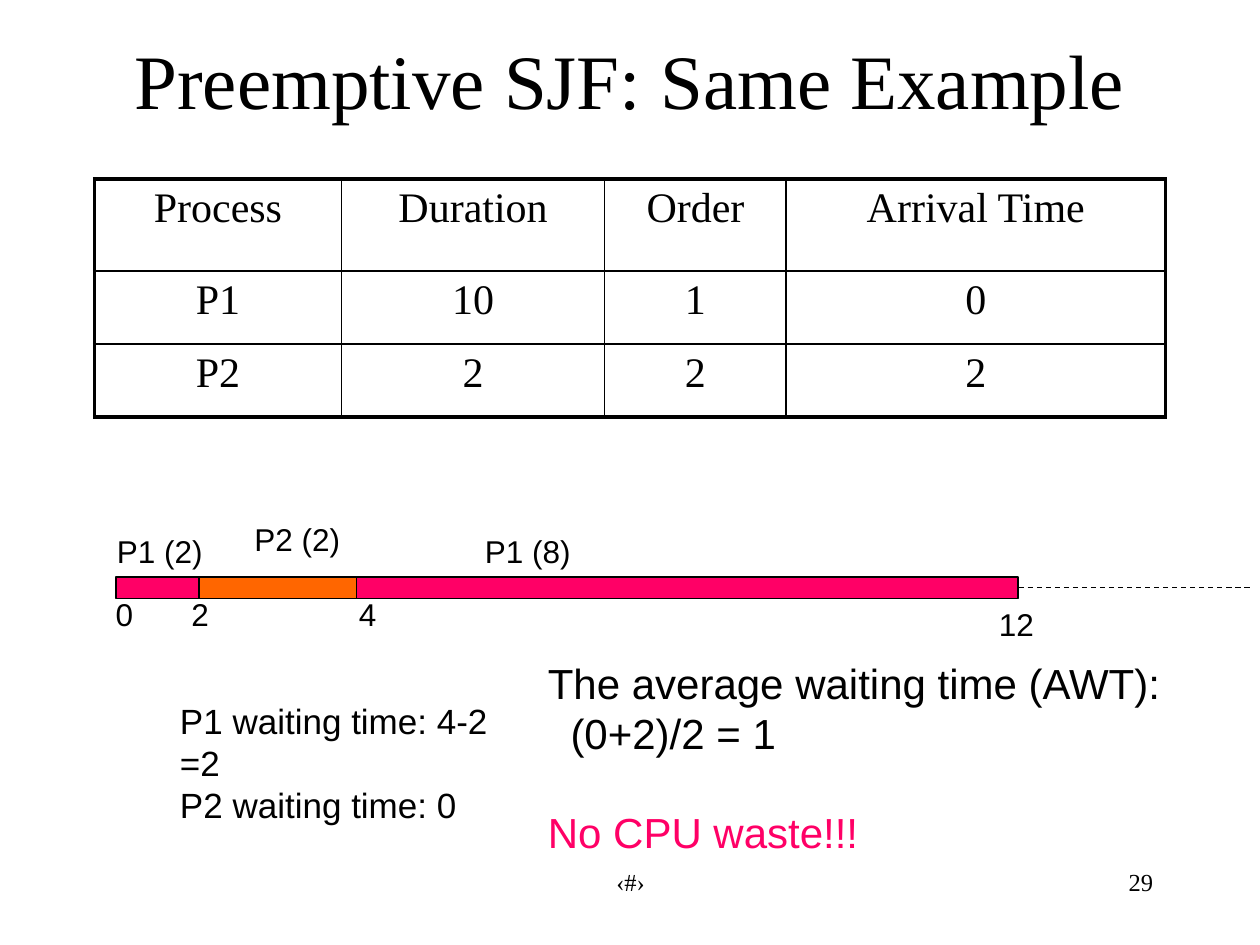
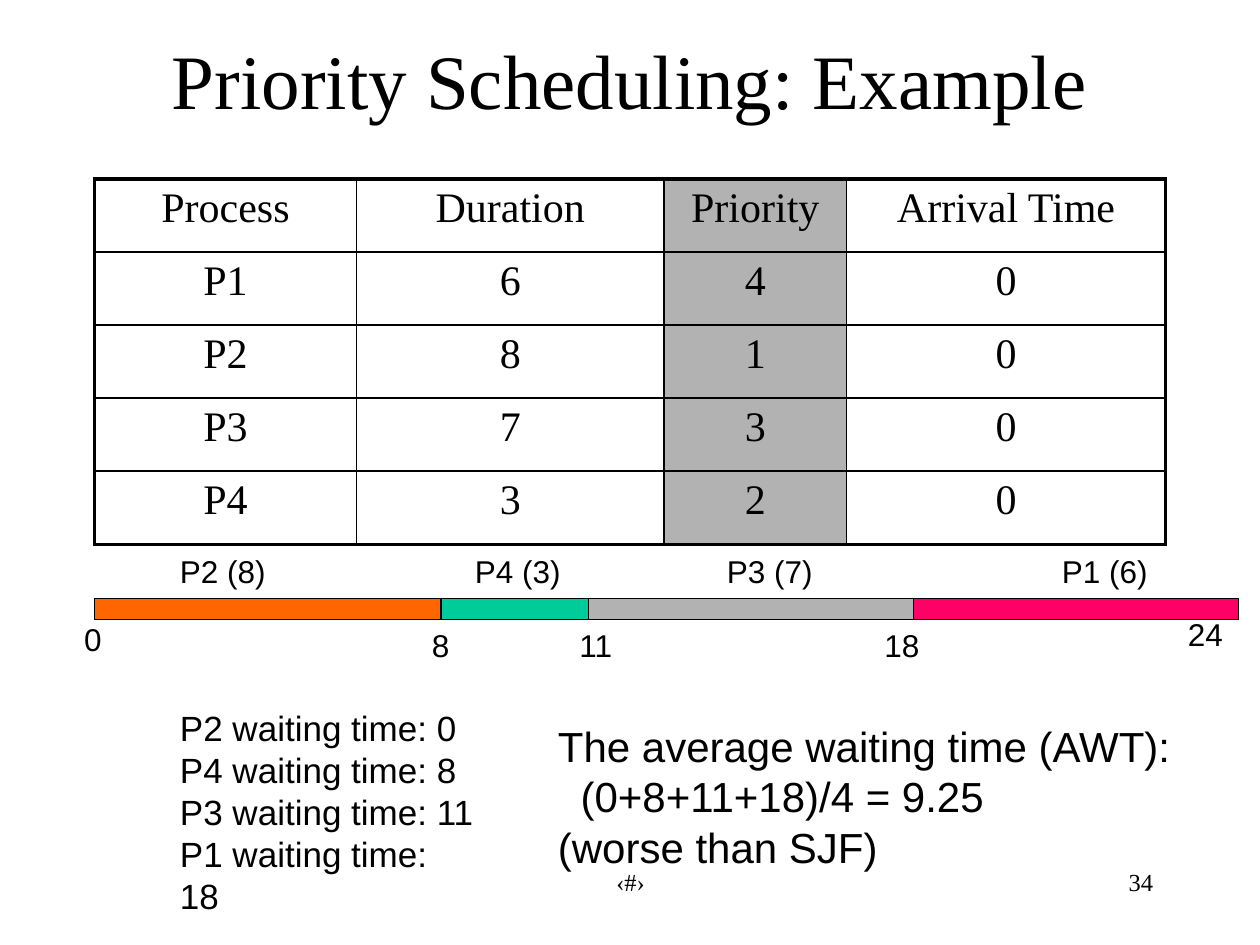
from pptx import Presentation
from pptx.dml.color import RGBColor
from pptx.enum import dml, shapes, text
from pptx.oxml import parse_xml
from pptx.oxml.ns import nsdecls
from pptx.util import Inches, Pt

BLACK = RGBColor(0x00, 0x00, 0x00)
PINK = RGBColor(0xFF, 0x00, 0x66)
ORANGE = RGBColor(0xFF, 0x66, 0x00)
GREEN = RGBColor(0x00, 0xCC, 0x99)
GREY = RGBColor(0xB2, 0xB2, 0xB2)
SERIF, SANS = "Times New Roman", "Arial"
LEFT, CENTER, RIGHT = text.PP_ALIGN.LEFT, text.PP_ALIGN.CENTER, text.PP_ALIGN.RIGHT
BAR_HEIGHT = 0.17
LABEL_SIZE = 18

# Labels are (text, left, top); edges bound the coloured bars of the timeline.
slides = [
    dict(
        title="Preemptive SJF: Same Example", number="29",
        cols=[1.96, 2.09, 1.44, 3.01], rows=[0.73, 0.58, 0.58], shaded=None,
        cells=[["Process", "Duration", "Order", "Arrival Time"],
               ["P1", "10", "1", "0"],
               ["P2", "2", "2", "2"]],
        bar_top=4.58, edges=[0.92, 1.58, 2.83, 8.08], colors=[PINK, ORANGE, PINK],
        labels=[("P1 (2)", 0.83, 4.17), ("P2 (2)", 1.92, 4.08), ("P1 (8)", 3.75, 4.17),
                ("0", 0.82, 4.67), ("2", 1.42, 4.67), ("4", 2.75, 4.67), ("12", 7.83, 4.75)],
        waits=["P1 waiting time: 4-2 =2", "P2 waiting time: 0"],
        waits_box=(1.33, 5.5, 2.95, 1.1),
        average=["The average waiting time (AWT):", "(0+2)/2 = 1", "No CPU waste!!!"],
        average_box=(4.25, 5.17, 5.17, 1.7), remark_gap=27.6, remark_color=PINK,
    ),
    dict(
        title="Priority Scheduling: Example", number="34",
        cols=[2.08, 2.44, 1.45, 2.53], rows=[0.58] * 5, shaded=2,
        cells=[["Process", "Duration", "Priority", "Arrival Time"],
               ["P1", "6", "4", "0"],
               ["P2", "8", "1", "0"],
               ["P3", "7", "3", "0"],
               ["P4", "3", "2", "0"]],
        bar_top=4.75, edges=[0.75, 3.5, 4.67, 7.25, 9.83],
        colors=[ORANGE, GREEN, GREY, PINK],
        labels=[("P2 (8)", 1.33, 4.33), ("P4 (3)", 3.67, 4.33), ("P3 (7)", 5.67, 4.33),
                ("P1 (6)", 8.33, 4.33), ("0", 0.57, 4.87), ("8", 3.33, 4.92),
                ("11", 4.5, 4.92), ("18", 6.92, 4.92), ("24", 9.33, 4.83)],
        waits=["P2 waiting time: 0", "P4 waiting time: 8",
               "P3 waiting time: 11", "P1 waiting time: 18"],
        waits_box=(1.33, 5.56, 2.54, 1.7),
        average=["The average waiting time (AWT):", "(0+8+11+18)/4 = 9.25", "(worse than SJF)"],
        average_box=(4.33, 5.67, 5.17, 1.3), remark_gap=0, remark_color=BLACK,
    ),
]


def add_text(s, box, lines, size, font=SANS, align=LEFT, wrap=True):
    """Add a text box with one paragraph per line and return its text frame."""
    tf = s.shapes.add_textbox(*map(Inches, box)).text_frame
    tf.word_wrap = wrap
    tf.text = "\n".join(lines)
    for p in tf.paragraphs:
        style_paragraph(p, size, font, align)
    return tf


def style_paragraph(p, size, font, align):
    p.alignment = align
    for r in p.runs:
        r.font.size, r.font.name = Pt(size), font
        r.font.color.rgb = BLACK


prs = Presentation()
prs.slide_width, prs.slide_height = Inches(10), Inches(7.5)

for d in slides:
    s = prs.slides.add_slide(prs.slide_layouts[6])
    tf = add_text(s, (0.75, 0, 8.5, 1.25), [d["title"]], 44, SERIF, CENTER)
    tf.vertical_anchor = text.MSO_ANCHOR.MIDDLE

    # Process table: thick outer frame, thin inner grid
    n_rows, n_cols = len(d["rows"]), len(d["cols"])
    table = s.shapes.add_table(n_rows, n_cols, Inches(0.75), Inches(1.42),
                               Inches(8.5), Inches(sum(d["rows"]))).table
    table.first_row = table.horz_banding = False
    for col, width in zip(table.columns, d["cols"]):
        col.width = Inches(width)
    for i, height in enumerate(d["rows"]):
        table.rows[i].height = Inches(height)
        for j in range(n_cols):
            cell = table.cell(i, j)
            cell.text = d["cells"][i][j]
            style_paragraph(cell.text_frame.paragraphs[0], 24, SERIF, CENTER)
            outer = {"L": j == 0, "R": j == n_cols - 1, "T": i == 0, "B": i == n_rows - 1}
            for side, thick in outer.items():
                cell._tc.get_or_add_tcPr().append(parse_xml(
                    f'<a:ln{side} {nsdecls("a")} w="{Pt(2.25 if thick else 1)}">'
                    f'<a:solidFill><a:srgbClr val="{BLACK}"/></a:solidFill></a:ln{side}>'))
            if j == d["shaded"]:
                cell.fill.solid()
                cell.fill.fore_color.rgb = GREY
            else:
                cell.fill.background()

    # Timeline: dashed axis, bars and labels
    edges, top = d["edges"], d["bar_top"]
    axis_y = Inches(top + BAR_HEIGHT / 2)
    axis = s.shapes.add_connector(shapes.MSO_CONNECTOR.STRAIGHT, Inches(edges[0]), axis_y,
                                  Inches(edges[0] + 9), axis_y)
    axis.line.color.rgb = BLACK
    axis.line.width = Pt(0.75)
    axis.line.dash_style = dml.MSO_LINE.DASH
    axis._element.spPr.append(parse_xml(f'<a:effectLst {nsdecls("a")}/>'))
    for start, end, color in zip(edges, edges[1:], d["colors"]):
        bar = s.shapes.add_shape(shapes.MSO_SHAPE.RECTANGLE, Inches(start), Inches(top),
                                 Inches(end - start), Inches(BAR_HEIGHT))
        bar.shadow.inherit = False
        bar.fill.solid()
        bar.fill.fore_color.rgb = color
        bar.line.color.rgb = BLACK
        bar.line.width = Pt(0.75)
    label_widths = {1: 0.34, 2: 0.48, 6: 0.88}
    for label, left, label_top in d["labels"]:
        add_text(s, (left, label_top, label_widths[len(label)], 0.4), [label],
                 LABEL_SIZE, wrap=False)

    # Waiting times and their average
    add_text(s, d["waits_box"], d["waits"], 20)
    heading, formula, remark = add_text(s, d["average_box"], d["average"], 24).paragraphs
    formula._p.get_or_add_pPr().set("marL", str(Inches(0.18)))
    remark.space_before = Pt(d["remark_gap"])
    remark.runs[0].font.color.rgb = d["remark_color"]

    # Footer
    add_text(s, (7.17, 6.83, 2.08, 0.5), [d["number"]], 14, SERIF, RIGHT)
    add_text(s, (3.42, 6.83, 3.17, 0.5), ["‹#›"], 14, SERIF, CENTER)

prs.save("out.pptx")
